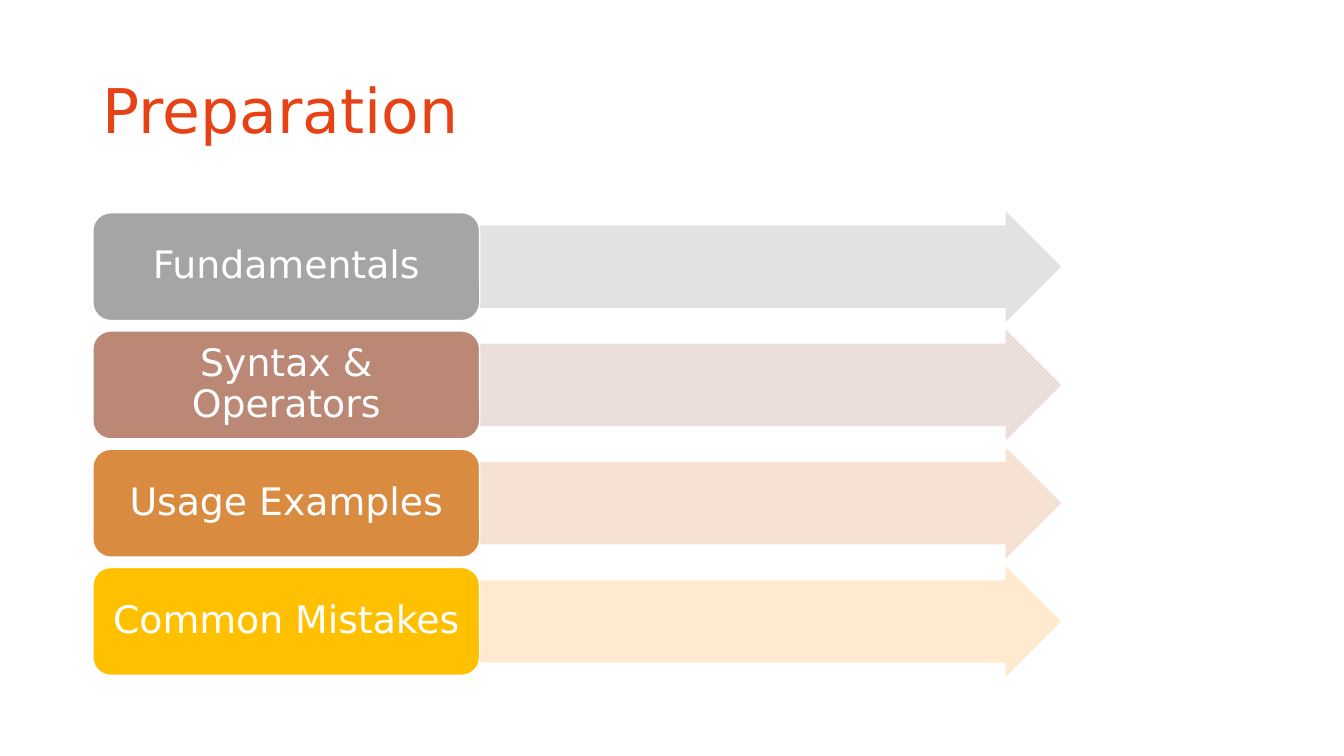
from dataclasses import dataclass

from pptx import Presentation
from pptx.dml.color import RGBColor
from pptx.enum.shapes import MSO_SHAPE as Shape
from pptx.enum.text import MSO_ANCHOR as Anchor, PP_ALIGN as Align
from pptx.util import Cm, Pt


@dataclass(frozen=True)
class Theme:
    font: str = "DejaVu Sans"
    title_size: int = 44
    topic_size: int = 27
    title: str = "E64215"
    white: str = "FFFFFF"
    topic_fills: tuple = ("A5A5A5", "BB8876", "D98B3F", "FFC000")
    arrow_fills: tuple = ("E2E2E2", "EBDEDB", "F6E1D4", "FFE9CF")


theme = Theme()


def write(shape, text, size, color, align):
    frame = shape.text_frame
    frame.word_wrap = True
    frame.vertical_anchor = Anchor.MIDDLE
    frame.text = text
    paragraph = frame.paragraphs[0]
    paragraph.alignment = align
    paragraph.line_spacing = 0.9
    font = paragraph.runs[0].font
    font.name = theme.font
    font.size = Pt(size)
    font.color.rgb = RGBColor.from_string(color)


def add_block(kind, left, top, width, fill, outline):
    block = slide.shapes.add_shape(kind, left, top, width, ROW_HEIGHT)
    block.shadow.inherit = False
    block.fill.solid()
    block.fill.fore_color.rgb = RGBColor.from_string(fill)
    block.line.color.rgb = RGBColor.from_string(outline)
    block.line.width = Pt(1)
    return block


prs = Presentation()
prs.slide_width, prs.slide_height = Cm(33.87), Cm(19.05)
slide = prs.slides.add_slide(prs.slide_layouts[6])

LEFT = Cm(2.34)
TOPIC_WIDTH = Cm(9.75)
ARROW_WIDTH = Cm(14.63)
FIRST_TOP = Cm(5.36)
ROW_HEIGHT = Cm(2.72)
ROW_PITCH = Cm(2.98)

title = slide.shapes.add_textbox(LEFT, Cm(1.02), Cm(29.21), Cm(3.68))
write(title, "Preparation", theme.title_size, theme.title, Align.LEFT)

topics = ("Fundamentals", "Syntax & Operators", "Usage Examples", "Common Mistakes")
rows = zip(topics, theme.topic_fills, theme.arrow_fills)
for row, (name, topic_fill, arrow_fill) in enumerate(rows):
    top = FIRST_TOP + row * ROW_PITCH
    arrow = add_block(Shape.RIGHT_ARROW, LEFT + TOPIC_WIDTH, top, ARROW_WIDTH,
                      arrow_fill, arrow_fill)
    arrow.adjustments[0] = 0.75
    arrow.adjustments[1] = 0.5

    topic = add_block(Shape.ROUNDED_RECTANGLE, LEFT, top, TOPIC_WIDTH,
                      topic_fill, theme.white)
    write(topic, name, theme.topic_size, theme.white, Align.CENTER)
    frame = topic.text_frame
    frame.margin_left = frame.margin_right = Cm(0.28)
    frame.margin_top = frame.margin_bottom = Cm(0.15)

prs.save("out.pptx")
